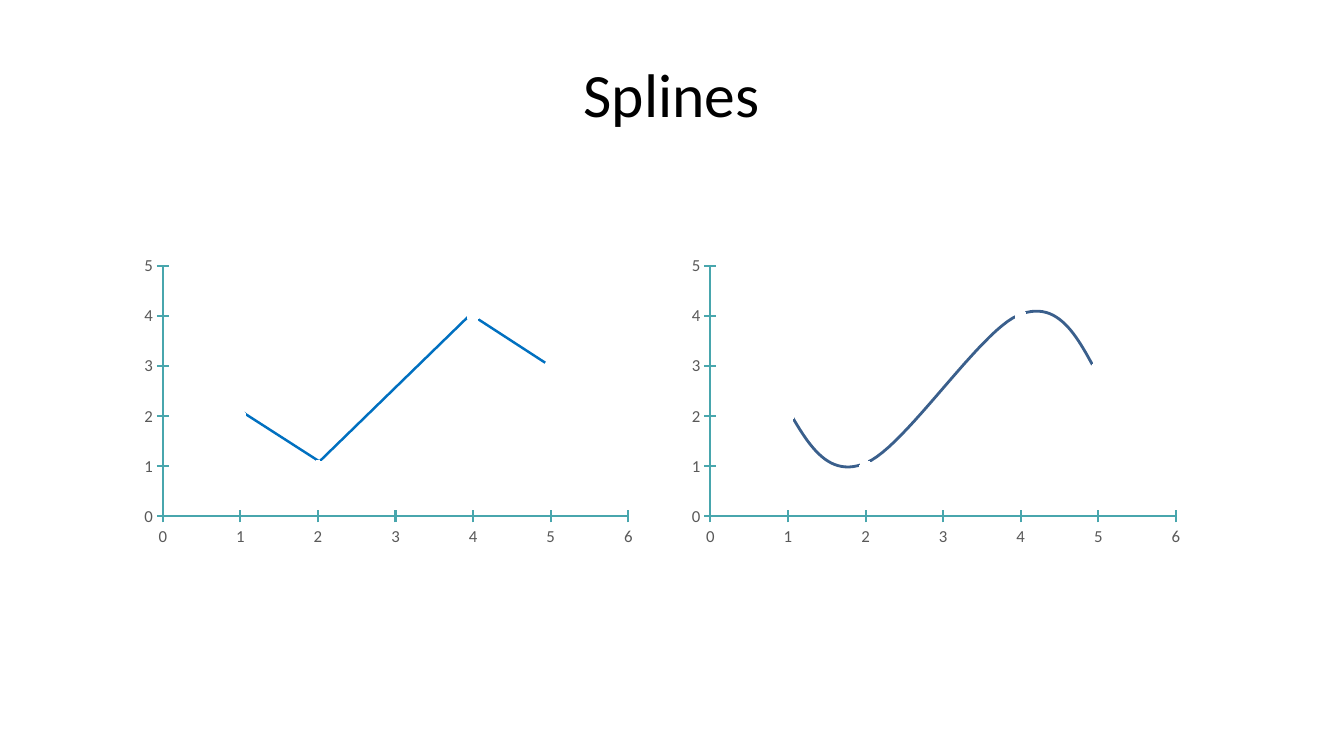
from lxml.etree import SubElement as Sub
from pptx import Presentation as Deck
from pptx.chart.data import XyChartData as Data
from pptx.dml.color import RGBColor as Rgb
from pptx.enum.chart import XL_CHART_TYPE as Kind, XL_MARKER_STYLE as Mark, XL_TICK_MARK as Tick
from pptx.enum.shapes import MSO_CONNECTOR as Link
from pptx.enum.text import MSO_ANCHOR as Anchor, PP_ALIGN as Align
from pptx.oxml import parse_xml as parse
from pptx.oxml.ns import nsdecls, qn
from pptx.util import Cm, Pt

KNOTS = [(1, 2), (2, 1), (4, 4), (5, 3)]
BENDS = [(2.72, 4.09), (4.65, 5.33), (8.46, 1.62), (10.34, 2.84)]
CURVE = [(2.71, 4.11), (3.2, 4.95), (3.7, 5.77), (4.64, 5.36), (5.61, 4.95),
         (7.49, 2.06), (8.45, 1.65), (9.39, 1.24), (9.88, 2.06), (10.33, 2.89)]
INNER = {"x": 0.055, "y": 0.053, "w": 0.918, "h": 0.828}
STEPS = 24


def tint(code):
    return Rgb.from_string(code)


def put(item, **values):
    for name, value in values.items():
        setattr(item, name, value)


def ink(line, code, width):
    line.fill.solid()
    line.color.rgb = tint(code)
    line.width = Pt(width)


def style(font, size, code):
    put(font, name="Calibri", size=Pt(size))
    font.color.rgb = tint(code)


def title(slide, left, top, wide, high):
    frame = slide.shapes.add_textbox(Cm(left), Cm(top), Cm(wide), Cm(high)).text_frame
    put(frame, word_wrap=True, vertical_anchor=Anchor.MIDDLE)
    para = frame.paragraphs[0]
    put(para, text="Splines", alignment=Align.CENTER)
    style(para.font, 44, "000000")


def clear():
    return parse(f"<c:spPr {nsdecls('c', 'a')}><a:noFill/><a:ln><a:noFill/></a:ln></c:spPr>")


def fit(chart):
    area = chart.plots[0]._element.getparent()
    old = area.find(qn("c:layout"))
    if old is not None:
        area.remove(old)
    rules = {"layoutTarget": "inner", "xMode": "edge", "yMode": "edge", **INNER}
    parts = "".join(f'<c:{key} val="{val}"/>' for key, val in rules.items())
    area.insert(0, parse(f"<c:layout {nsdecls('c')}><c:manualLayout>{parts}</c:manualLayout></c:layout>"))
    area.append(clear())
    area.getparent().addnext(clear())


def scale(axis, top):
    put(axis, minimum_scale=0, maximum_scale=top, major_unit=1,
        has_major_gridlines=False, has_minor_gridlines=False,
        major_tick_mark=Tick.CROSS, minor_tick_mark=Tick.NONE)
    put(axis.tick_labels, number_format="General", number_format_is_linked=False)
    style(axis.tick_labels.font, 12, "595959")
    ink(axis.format.line, "48A6AD", 1.5)


def graph(slide, left, top, wide, high):
    data = Data()
    row = data.add_series("Series 1")
    for x, y in KNOTS:
        row.add_data_point(x, y)
    chart = slide.shapes.add_chart(Kind.XY_SCATTER, Cm(left), Cm(top), Cm(wide), Cm(high), data).chart
    put(chart, has_legend=False, has_title=False)
    style(chart.font, 10, "000000")
    chart.plots[0].vary_by_categories = False
    scale(chart.category_axis, 6)
    scale(chart.value_axis, 5)
    dots = chart.plots[0].series[0]
    dots.smooth = False
    dots.format.line.fill.background()
    put(dots.marker, style=Mark.CIRCLE, size=8)
    for fill in (dots.marker.format.fill, dots.marker.format.line.fill):
        fill.solid()
        fill.fore_color.rgb = tint("FFFFFF")
    fit(chart)


def linear(slide, left, top, wide, high):
    spots = [(Cm(left + x), Cm(top + y)) for x, y in BENDS]
    for start, end in zip(spots, spots[1:]):
        edge = slide.shapes.add_connector(Link.STRAIGHT, *start, *end)
        ink(edge.line, "0070C0", 1.75)
        Sub(edge._element.spPr, qn("a:effectLst"))
    graph(slide, left, top, wide, high)


def blend(ends, t):
    share = ((1 - t) ** 3, 3 * t * (1 - t) ** 2, 3 * t * t * (1 - t), t ** 3)
    return [sum(s * p[i] for s, p in zip(share, ends)) for i in (0, 1)]


def cubic(slide, left, top, wide, high):
    spots = [CURVE[0]] + [blend(CURVE[i:i + 4], n / STEPS)
                          for i in range(0, len(CURVE) - 1, 3) for n in range(1, STEPS + 1)]
    spots = [(Cm(left + x), Cm(top + y)) for x, y in spots]
    pen = slide.shapes.build_freeform(*spots[0])
    pen.add_line_segments(spots[1:], close=False)
    curve = pen.convert_to_shape()
    curve.shadow.inherit = False
    curve.fill.background()
    ink(curve.line, "3A5F8C", 2)
    graph(slide, left, top, wide, high)


def main():
    deck = Deck()
    put(deck, slide_width=Cm(33.87), slide_height=Cm(19.05))
    slide = deck.slides.add_slide(deck.slide_layouts[6])
    title(slide, 1.69, 0.76, 30.48, 3.18)
    linear(slide, 3.4, 6.3, 12.78, 7.62)
    cubic(slide, 17.2, 6.3, 12.78, 7.62)
    deck.save("out.pptx")


if __name__ == "__main__":
    main()
